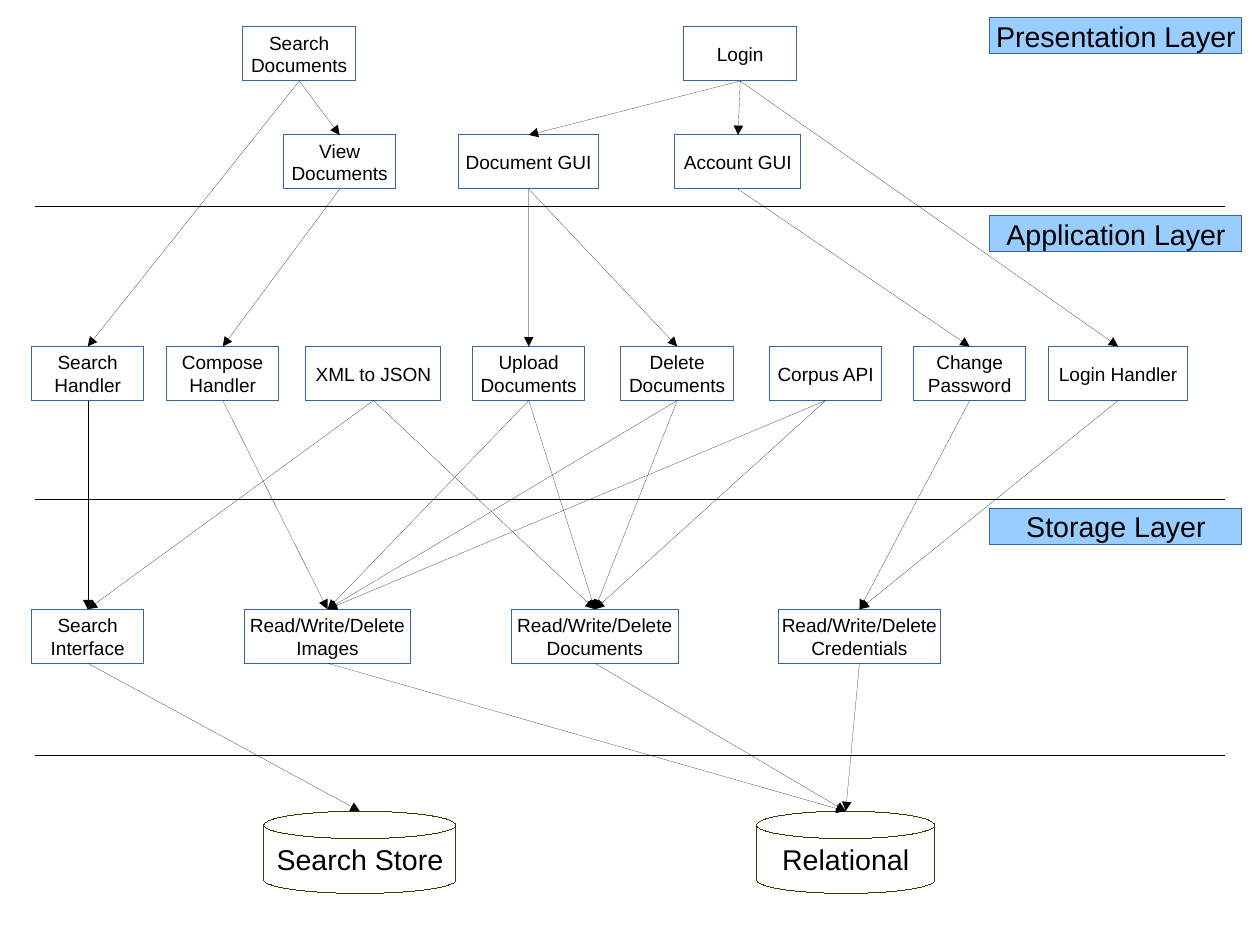
from dataclasses import dataclass

from lxml.etree import SubElement
from pptx import Presentation
from pptx.dml.color import RGBColor
from pptx.enum.shapes import MSO_CONNECTOR, MSO_SHAPE
from pptx.enum.text import MSO_ANCHOR, PP_ALIGN
from pptx.oxml.ns import qn
from pptx.util import Pt


@dataclass(frozen=True)
class Theme:
    font: str = "Arial"
    ink: str = "000000"
    paper: str = "FFFFFF"
    band: str = "99CCFF"
    edge: str = "3465A4"
    rim: str = "314004"
    small: float = 12
    large: float = 18
    hair: float = 0


WIDTH, HEIGHT = 793.7, 595.28
BOX_W, BOX_H = 70.87, 34.02
DISK_TOP, DISK_H = 511, 51.8
RULE_L, RULE_R = 22.3, 771.1

LAYERS = [
    ("Presentation Layer", 11.34),
    ("Application Layer", 136.06),
    ("Storage Layer", 320.31),
]
RULES = [130.3, 314.6, 475.9]

# Row top -> boxes as key, text, left, width
ROWS = {
    17.01: [
        ("search", "Search\nDocuments", 153.07, BOX_W),
        ("login", "Login", 430.87, BOX_W),
    ],
    85.04: [
        ("view", "View\nDocuments", 178.58, BOX_W),
        ("docs", "Document GUI", 289.13, 87.87),
        ("account", "Account GUI", 425.2, 79.37),
    ],
    218.27: [
        ("finder", "Search\nHandler", 19.84, BOX_W),
        ("compose", "Compose\nHandler", 104.88, BOX_W),
        ("convert", "XML to JSON", 192.76, 85.04),
        ("upload", "Upload\nDocuments", 297.64, BOX_W),
        ("delete", "Delete\nDocuments", 391.18, BOX_W),
        ("api", "Corpus API", 484.72, BOX_W),
        ("password", "Change\nPassword", 575.43, BOX_W),
        ("entry", "Login Handler", 660.47, 87.87),
    ],
    383.8: [
        ("index", "Search\nInterface", 19.84, BOX_W),
        ("images", "Read/Write/Delete\nImages", 153.9, 104.88),
        ("texts", "Read/Write/Delete\nDocuments", 322.3, 104.88),
        ("keys", "Read/Write/Delete\nCredentials", 490.39, 102.05),
    ],
}
DISKS = [
    ("engine", "Search Store", 166.2, 121),
    ("base", "Relational", 476.6, 112.3),
]
FLOWS = {
    "search": ["view", "finder"],
    "login": ["docs", "account", "entry"],
    "view": ["compose"],
    "docs": ["upload", "delete"],
    "account": ["password"],
    "finder": ["index"],
    "compose": ["images"],
    "convert": ["index", "texts"],
    "upload": ["images", "texts"],
    "delete": ["images", "texts"],
    "api": ["images", "texts"],
    "password": ["keys"],
    "entry": ["keys"],
    "index": ["engine"],
    "images": ["base"],
    "texts": ["base"],
    "keys": ["base"],
}


def write(frame, text, *, font, size, color, align=PP_ALIGN.CENTER):
    """Fill a text frame, one paragraph for each line of text."""
    frame.text = text
    frame.word_wrap = False
    frame.vertical_anchor = MSO_ANCHOR.MIDDLE
    for para in frame.paragraphs:
        para.alignment = align
        for run in para.runs:
            run.font.name = font
            run.font.size = Pt(size)
            run.font.color.rgb = RGBColor.from_string(color)


class Board:
    def __init__(self, slide, theme):
        self.slide = slide
        self.theme = theme

    def stroke(self, item, color):
        """Set line colour and width; a zero width must be written out."""
        item.line.color.rgb = RGBColor.from_string(color)
        line = item._element.spPr.find(qn("a:ln"))
        line.set("w", str(Pt(self.theme.hair)))
        return line

    def shape(self, kind, text, left, top, width, height, *, fill, edge, size):
        item = self.slide.shapes.add_shape(
            kind, Pt(left), Pt(top), Pt(width), Pt(height))
        item.shadow.inherit = False
        item.fill.solid()
        item.fill.fore_color.rgb = RGBColor.from_string(fill)
        self.stroke(item, edge)
        write(item.text_frame, text, font=self.theme.font, size=size,
              color=self.theme.ink)
        return item

    def label(self, text, top):
        look = self.theme
        return self.shape(MSO_SHAPE.RECTANGLE, text, 623.62, top, 158.74, 22.68,
                          fill=look.band, edge=look.edge, size=look.large)

    def box(self, text, left, top, width):
        look = self.theme
        return self.shape(MSO_SHAPE.RECTANGLE, text, left, top, width, BOX_H,
                          fill=look.paper, edge=look.edge, size=look.small)

    def disk(self, text, left, width):
        look = self.theme
        return self.shape(MSO_SHAPE.FLOWCHART_MAGNETIC_DISK, text,
                          left, DISK_TOP, width, DISK_H,
                          fill=look.paper, edge=look.rim, size=look.large)

    def line(self, *ends, head=False):
        item = self.slide.shapes.add_connector(MSO_CONNECTOR.STRAIGHT, *ends)
        line = self.stroke(item, self.theme.ink)
        if head:
            SubElement(line, qn("a:tailEnd"), type="triangle")
        SubElement(item._element.spPr, qn("a:effectLst"))
        return item

    def rule(self, y):
        self.line(Pt(RULE_L), Pt(y), Pt(RULE_R), Pt(y))

    def arrow(self, start, end):
        """Link the bottom of one shape to the top of another."""
        x, y = end.left + end.width // 2, end.top
        item = self.line(start.left + start.width // 2,
                         start.top + start.height, x, y, head=True)
        is_disk = end.auto_shape_type == MSO_SHAPE.FLOWCHART_MAGNETIC_DISK
        item.begin_connect(start, 2)
        item.end_connect(end, 1 if is_disk else 0)
        item.end_x, item.end_y = x, y


def main():
    deck = Presentation()
    deck.slide_width = Pt(WIDTH)
    deck.slide_height = Pt(HEIGHT)
    board = Board(deck.slides.add_slide(deck.slide_layouts[6]), Theme())

    for text, top in LAYERS:
        board.label(text, top)
    for y in RULES:
        board.rule(y)

    nodes = {}
    for top, row in ROWS.items():
        for key, text, left, width in row:
            nodes[key] = board.box(text, left, top, width)
    for key, text, left, width in DISKS:
        nodes[key] = board.disk(text, left, width)

    for start, ends in FLOWS.items():
        for end in ends:
            board.arrow(nodes[start], nodes[end])

    deck.save("out.pptx")


if __name__ == "__main__":
    main()
